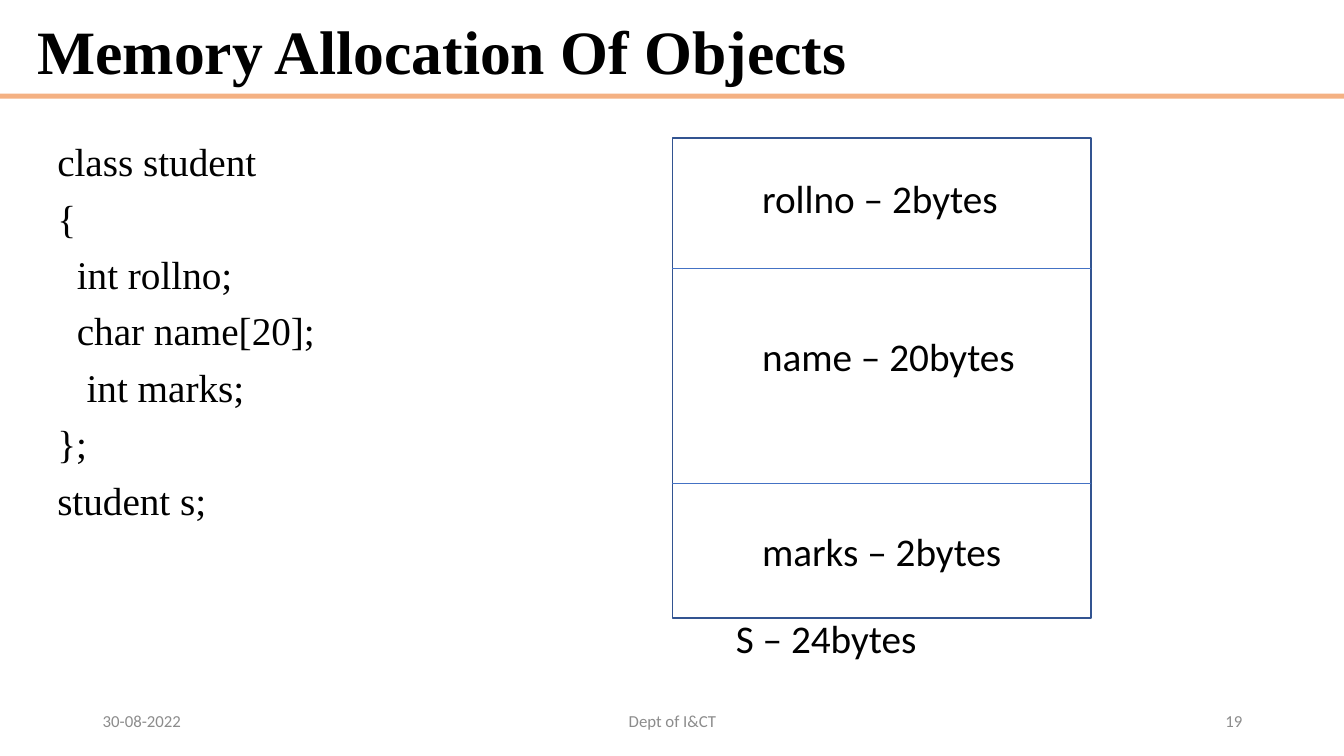
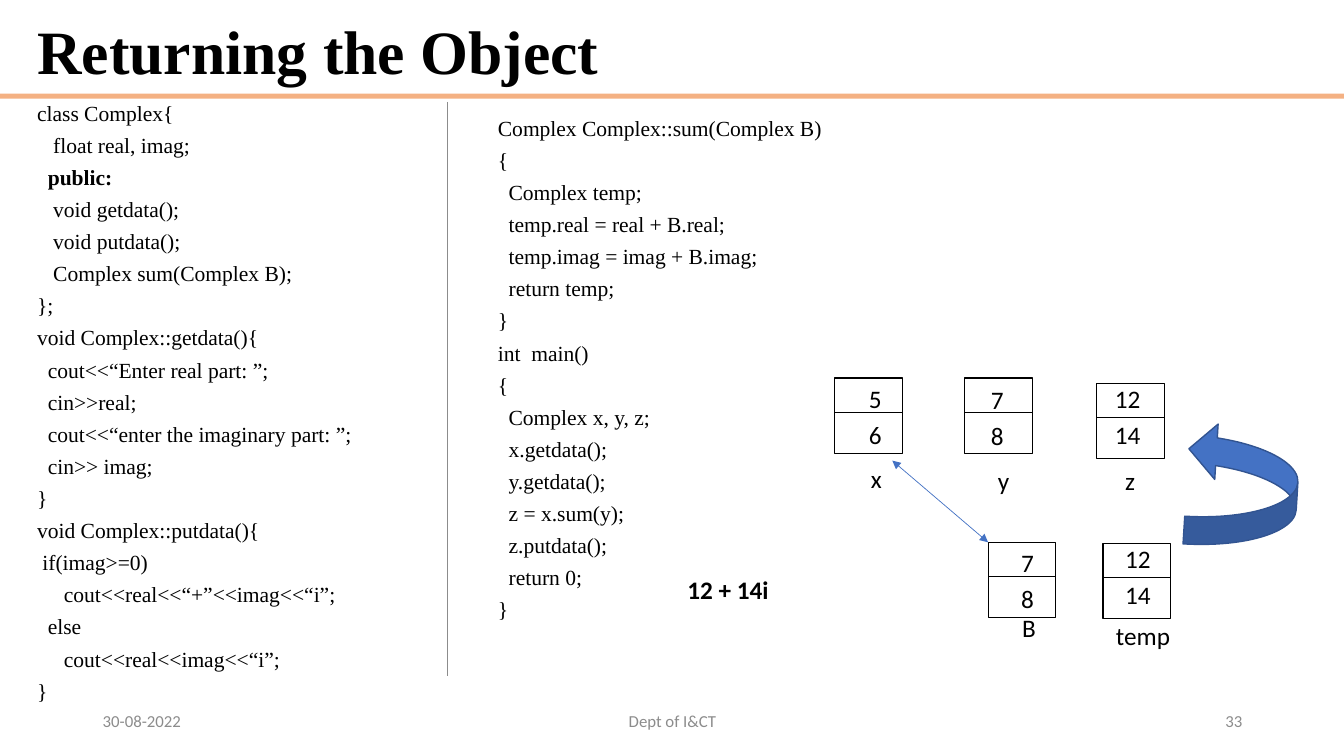
import pptx
from lxml import etree
from pptx.dml.color import RGBColor
from pptx.enum.shapes import MSO_CONNECTOR, MSO_SHAPE
from pptx.enum.text import MSO_ANCHOR, PP_ALIGN
from pptx.oxml.ns import qn
from pptx.util import Inches, Pt

BLACK = RGBColor(0x00, 0x00, 0x00)
GRAY = RGBColor(0x8C, 0x8C, 0x8C)
PEACH = RGBColor(0xF4, 0xB1, 0x83)
BLUE = RGBColor(0x44, 0x72, 0xC4)
DARK_BLUE = RGBColor(0x32, 0x54, 0x91)
SERIF, SANS = "Times New Roman", "Calibri"
WIDTH, HEIGHT = 13.33, 7.5

DATE, DEPARTMENT = "30-08-2022", "Dept of I&CT"

STUDENT_CODE = [
    "class student",
    "{",
    "  int rollno;",
    "  char name[20];",
    "   int marks;",
    "};",
    "student s;",
]
# text, row height, offset of the text from the top of its row
MEMORY_ROWS = [
    ("rollno – 2bytes", 1.29, 0.31),
    ("name – 20bytes", 2.14, 0.59),
    ("marks – 2bytes", 1.33, 0.38),
]
MEMORY_TOTAL = "S – 24bytes"

COMPLEX_CODE = [
    "class Complex{",
    "   float real, imag;",
    "  public:",
    "   void getdata();",
    "   void putdata();",
    "   Complex sum(Complex B);",
    "};",
    "void Complex::getdata(){",
    "  cout<<“Enter real part: ”;",
    "  cin>>real;",
    "  cout<<“enter the imaginary part: ”;",
    "  cin>> imag;",
    "}",
    "void Complex::putdata(){",
    " if(imag>=0)",
    "     cout<<real<<“+”<<imag<<“i”;",
    "  else",
    "     cout<<real<<imag<<“i”;",
    "}",
]
SUM_CODE = [
    "Complex Complex::sum(Complex B)",
    "{",
    "  Complex temp;",
    "  temp.real = real + B.real;",
    "  temp.imag = imag + B.imag;",
    "  return temp;",
    "}",
    "int  main()",
    "{",
    "  Complex x, y, z;",
    "  x.getdata();",
    "  y.getdata();",
    "  z = x.sum(y);",
    "  z.putdata();",
    "  return 0;",
    "}",
]
# name, values, left and top of the box, offset of the values, offset of the name
OBJECTS = [
    ("x", ("5", "6"), (8.28, 3.75), (0.24, 0), (0.26, 0.8)),
    ("y", ("7", "8"), (9.57, 3.75), (0.16, 0.01), (0.23, 0.82)),
    ("z", ("12", "14"), (10.88, 3.8), (0.08, -0.05), (0.18, 0.77)),
    ("B", ("7", "8"), (9.8, 5.38), (0.23, 0), (0.24, 0.65)),
    ("temp", ("12", "14"), (10.94, 5.39), (0.12, -0.05), (0.03, 0.72)),
]
OBJECT_WIDTH, OBJECT_HEIGHT, OBJECT_SPLIT, VALUE_STEP = 0.67, 0.75, 0.34, 0.36
RESULT = "12 + 14i"


def inches(*lengths):
    return [Inches(length) for length in lengths]


def add_run(paragraph, text, size, font_name, color=BLACK, bold=False):
    run = paragraph.add_run()
    run.text = text
    font = run.font
    font.size, font.name, font.bold = Pt(size), font_name, bold
    font.color.rgb = color


def add_text(slide, text, left, top, size, width=3, height=0.4, color=BLACK,
             bold=False, align=PP_ALIGN.LEFT, anchor=MSO_ANCHOR.TOP):
    frame = slide.shapes.add_textbox(*inches(left, top, width, height)).text_frame
    frame.word_wrap = True
    frame.vertical_anchor = anchor
    paragraph = frame.paragraphs[0]
    paragraph.alignment = align
    add_run(paragraph, text, size, SANS, color, bold)


def add_code(slide, lines, box, size, line_spacing):
    frame = slide.shapes.add_textbox(*inches(*box)).text_frame
    frame.word_wrap = True
    for index, line in enumerate(lines):
        paragraph = frame.add_paragraph() if index else frame.paragraphs[0]
        paragraph.line_spacing = line_spacing
        paragraph.space_before = Pt(10 if index else 0)
        add_run(paragraph, line, size, SERIF, bold=line.strip() == "public:")


def add_line(slide, start, end, color, arrows=False):
    line = slide.shapes.add_connector(MSO_CONNECTOR.STRAIGHT, *inches(*start, *end))
    line.line.color.rgb = color
    line.line.width = Pt(0.5)
    if arrows:
        outline = line.line._get_or_add_ln()
        for end_tag in ("a:headEnd", "a:tailEnd"):
            etree.SubElement(outline, qn(end_tag), type="triangle")
    etree.SubElement(line._element.spPr, qn("a:effectLst"))


def style_shape(shape, fill=None, line=None, width=1):
    shape.shadow.inherit = False
    if fill is None:
        shape.fill.background()
    else:
        shape.fill.solid()
        shape.fill.fore_color.rgb = fill
    if line is None:
        shape.line.fill.background()
    else:
        shape.line.color.rgb = line
        shape.line.width = Pt(width)


def start_slide(presentation, title, number):
    """Add a slide with the shared band, title and footer."""
    slide = presentation.slides.add_slide(presentation.slide_layouts[5])
    band = slide.shapes.add_shape(MSO_SHAPE.RECTANGLE, *inches(0, 0.93, WIDTH, 0.05))
    style_shape(band, fill=PEACH)

    placeholder = slide.shapes.title
    placeholder.left, placeholder.top, placeholder.width, placeholder.height = inches(
        0.27, 0.15, 12.15, 0.79)
    placeholder.text_frame.vertical_anchor = MSO_ANCHOR.MIDDLE
    paragraph = placeholder.text_frame.paragraphs[0]
    paragraph.alignment = PP_ALIGN.LEFT
    paragraph.line_spacing = 0.9
    add_run(paragraph, title, 44, SERIF, bold=True)

    for text, left, width, align in (
        (DATE, 0.92, 3, PP_ALIGN.LEFT),
        (DEPARTMENT, 4.42, 4.5, PP_ALIGN.CENTER),
        (number, 9.42, 3, PP_ALIGN.RIGHT),
    ):
        add_text(slide, text, left, 6.95, 12, width, color=GRAY, align=align,
                 anchor=MSO_ANCHOR.MIDDLE)
    return slide


def add_memory_map(slide):
    left, top, width = 6.67, 1.37, 4.15
    height = sum(row[1] for row in MEMORY_ROWS)
    outline = slide.shapes.add_shape(
        MSO_SHAPE.RECTANGLE, *inches(left, top, width, height))
    style_shape(outline, line=DARK_BLUE)
    row_top = top
    for index, (text, row_height, offset) in enumerate(MEMORY_ROWS):
        if index:
            add_line(slide, (left, row_top), (left + width, row_top), BLUE)
        add_text(slide, text, 7.46, row_top + offset, 28, height=0.57)
        row_top += row_height
    add_text(slide, MEMORY_TOTAL, 7.2, 6.05, 28, height=0.57)


def add_object(slide, name, values, corner, value_offset, name_offset):
    """Draw a box split in two, with its values inside and its name below."""
    left, top = corner
    right, bottom, split = left + OBJECT_WIDTH, top + OBJECT_HEIGHT, top + OBJECT_SPLIT
    builder = slide.shapes.build_freeform(*inches(left, top), scale=1.0)
    builder.add_line_segments(
        [inches(right, top), inches(right, bottom), inches(left, bottom)], close=True)
    builder.move_to(*inches(left, split))
    builder.add_line_segments([inches(right, split)], close=False)
    style_shape(builder.convert_to_shape(), line=BLACK, width=0.75)
    for row, value in enumerate(values):
        add_text(slide, value, left + value_offset[0],
                 top + value_offset[1] + row * VALUE_STEP, 18, width=0.8)
    add_text(slide, name, left + name_offset[0], top + name_offset[1], 18, width=0.8)


def main():
    presentation = pptx.Presentation()
    presentation.slide_width, presentation.slide_height = inches(WIDTH, HEIGHT)

    slide = start_slide(presentation, "Memory Allocation Of Objects", "19")
    add_code(slide, STUDENT_CODE, (0.47, 1.37, 5.67, 4.76), 28, 0.9)
    add_memory_map(slide)

    slide = start_slide(presentation, "Returning the Object", "33")
    add_code(slide, COMPLEX_CODE, (0.27, 1.01, 3.97, 6.11), 15.4, 0.7)
    add_code(slide, SUM_CODE, (4.84, 1.16, 4.58, 5.79), 15.4, 0.7)
    add_line(slide, (4.44, 1.01), (4.44, 6.71), GRAY)
    for item in OBJECTS:
        add_object(slide, *item)
    add_line(slide, (8.85, 4.57), (9.8, 5.38), BLUE, arrows=True)
    return_arrow = slide.shapes.add_shape(
        MSO_SHAPE.CURVED_UP_ARROW, *inches(11.71, 4.27, 1.22, 1.1))
    return_arrow.rotation = 273.5
    style_shape(return_arrow, BLUE, DARK_BLUE)
    add_text(slide, RESULT, 6.72, 5.65, 18, width=1.5, bold=True)

    presentation.save("out.pptx")


if __name__ == "__main__":
    main()
